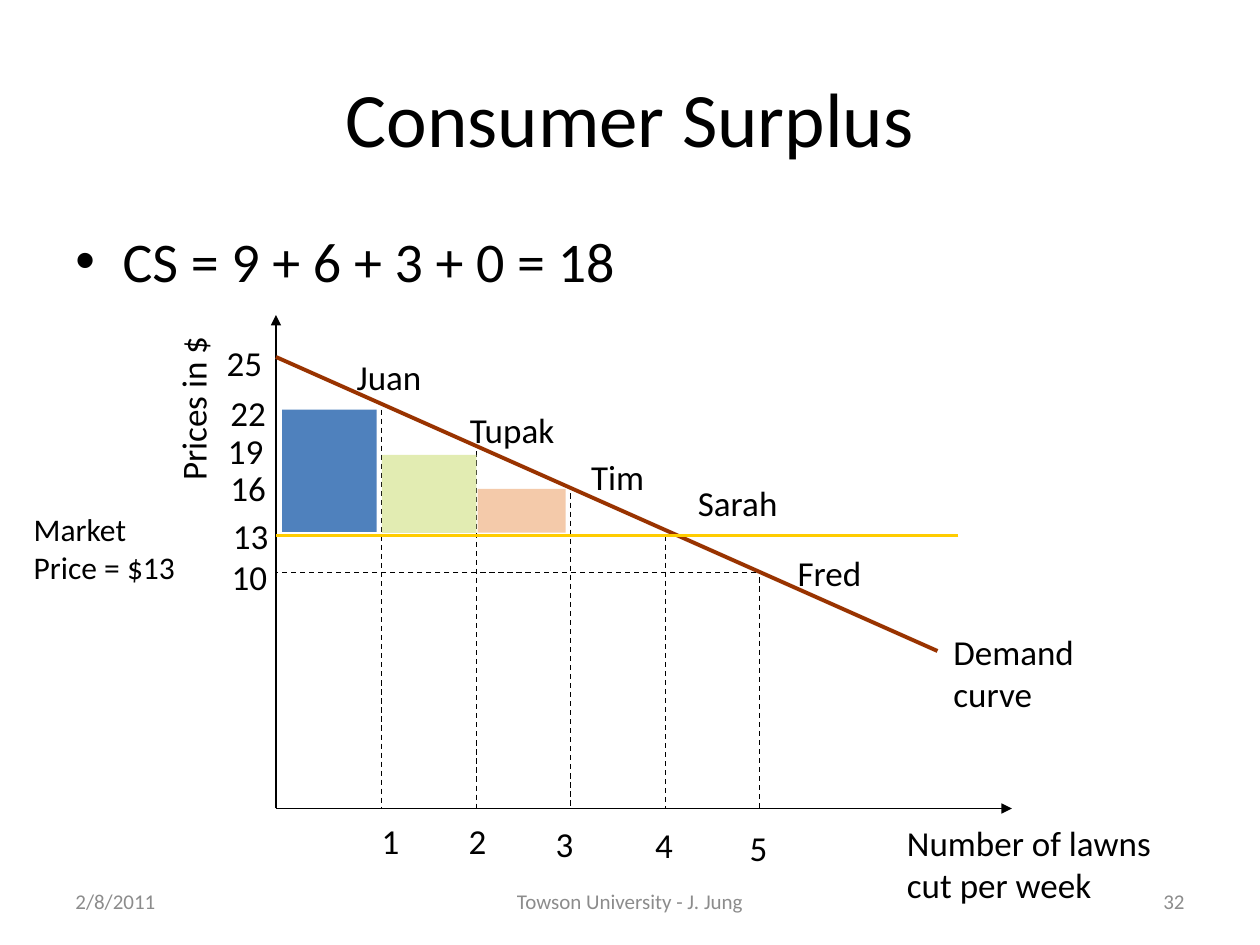
from lxml.etree import SubElement
from pptx import Presentation
from pptx.dml.color import RGBColor
from pptx.enum.dml import MSO_LINE
from pptx.enum.shapes import MSO_CONNECTOR, MSO_SHAPE
from pptx.enum.text import MSO_ANCHOR as ANCHOR, PP_ALIGN as ALIGN
from pptx.oxml.ns import qn
from pptx.util import Pt

BLACK = RGBColor(0x00, 0x00, 0x00)
GRAY = RGBColor(0x8C, 0x8C, 0x8C)
BROWN = RGBColor(0x99, 0x33, 0x00)
YELLOW = RGBColor(0xFF, 0xCC, 0x00)
BLUE = RGBColor(0x4F, 0x81, 0xBD)
GREEN = RGBColor(0xE2, 0xEC, 0xB2)
PEACH = RGBColor(0xF4, 0xCA, 0xAA)
FONT = "Calibri"


def add_text(slide, text, left, top, width, height=31.7, size=20, color=BLACK,
             align=ALIGN.LEFT, anchor=ANCHOR.TOP, rotation=0, bullet=False):
    shape = slide.shapes.add_textbox(Pt(left), Pt(top), Pt(width), Pt(height))
    shape.rotation = rotation
    frame = shape.text_frame
    frame.word_wrap = True
    frame.vertical_anchor = anchor
    paragraph = frame.paragraphs[0]
    paragraph.alignment = align
    run = paragraph.add_run()
    run.text = text
    run.font.name = FONT
    run.font.size = Pt(size)
    run.font.color.rgb = color
    if bullet:
        properties = paragraph._p.get_or_add_pPr()
        properties.set("marL", str(Pt(27)))
        properties.set("indent", str(-Pt(27)))
        SubElement(properties, qn("a:buFont"), typeface="Arial")
        SubElement(properties, qn("a:buChar"), char="•")


def add_line(slide, start, end, color=BLACK, width=0.75, dashed=False, arrow=False):
    points = [Pt(value) for value in (*start, *end)]
    connector = slide.shapes.add_connector(MSO_CONNECTOR.STRAIGHT, *points)
    connector.line.color.rgb = color
    connector.line.width = Pt(width)
    if dashed:
        connector.line.dash_style = MSO_LINE.DASH
    if arrow:
        SubElement(connector.line._get_or_add_ln(), qn("a:tailEnd"), type="triangle")
    SubElement(connector._element.spPr, qn("a:effectLst"))


def add_bar(slide, left, top, width, height, color):
    shape = slide.shapes.add_shape(MSO_SHAPE.RECTANGLE, Pt(left), Pt(top), Pt(width), Pt(height))
    shape.shadow.inherit = False
    shape.fill.solid()
    shape.fill.fore_color.rgb = color
    shape.line.fill.background()


def build_heading(slide, left, top, width):
    add_text(slide, "Consumer Surplus", left, top, width, 90, size=44,
             align=ALIGN.CENTER, anchor=ANCHOR.MIDDLE)
    add_text(slide, "CS = 9 + 6 + 3 + 0 = 18", left, top + 104.4, width, 54,
             size=32, bullet=True)


def build_footer(slide, left, top, width):
    side, middle = 168, 228
    parts = [
        ("2/8/2011", left, side, ALIGN.LEFT),
        ("Towson University - J. Jung", left + (width - middle) / 2, middle, ALIGN.CENTER),
        ("32", left + width - side, side, ALIGN.RIGHT),
    ]
    for text, x, part_width, align in parts:
        add_text(slide, text, x, top, part_width, 28.8, size=12, color=GRAY,
                 align=align, anchor=ANCHOR.MIDDLE)


def build_demand_graph(slide, left, top, width, height):
    def at(x, y):
        return left + x, top + y

    step, first_buyer, price_y = 54, 60.5, 126
    origin = at(0, height)
    add_line(slide, origin, at(0, 0), arrow=True)
    add_line(slide, origin, at(width, height), arrow=True)
    add_line(slide, at(0, 24), at(378, 192), color=BROWN, width=2.25)
    for index in range(5):
        x = first_buyer + step * index
        add_line(slide, at(x, 54 + 24 * index), at(x, height), dashed=True)
    add_line(slide, at(390, price_y), at(0, price_y), color=YELLOW, width=2.25)
    add_line(slide, at(274.5, 147), at(0.5, 147), dashed=True)

    bars = [(3.5, 54, 54, 70, BLUE), (60.5, 80, 54, 44.5, GREEN), (115.2, 99.4, 50.4, 25, PEACH)]
    for x, y, bar_width, bar_height, color in bars:
        add_bar(slide, *at(x, y), bar_width, bar_height, color)

    labels = [
        ("Juan", 39, 19.5, 57), ("Tupak", 103.7, 49.7, 66), ("Tim", 173, 77, 60),
        ("Sarah", 234, 91.5, 104), ("Fred", 291, 131.8, 74),
        ("1", 53.3, 285, 29), ("2", 103, 285, 29), ("3", 152.7, 286.5, 29),
        ("4", 209.5, 287.3, 29), ("5", 263.5, 288.7, 29),
        ("25", -35.3, 11.5, 50), ("22", -33.1, 40.3, 58), ("19", -34.6, 62, 50),
        ("16", -33.1, 82.8, 45), ("13", -31.7, 110.2, 57), ("10", -32.4, 134, 46),
    ]
    for text, x, y, label_width in labels:
        add_text(slide, text, *at(x, y), label_width)

    add_text(slide, "Prices in $", *at(-107.3, 26), 120, rotation=270)
    add_text(slide, "Number of lawns cut per week", *at(353.5, 286), 155.5, 55.5)
    add_text(slide, "Demand curve", *at(380, 177), 86.4, 55.5)
    add_text(slide, "Market Price = $13", *at(-145.5, 108), 102.2, 51, size=18)


presentation = Presentation()
presentation.slide_width = Pt(720)
presentation.slide_height = Pt(540)
slide = presentation.slides.add_slide(presentation.slide_layouts[6])
build_heading(slide, 36, 21.6, 648)
build_footer(slide, 36, 500.4, 648)
build_demand_graph(slide, 157.7, 180, 420.5, 282)
presentation.save("out.pptx")
